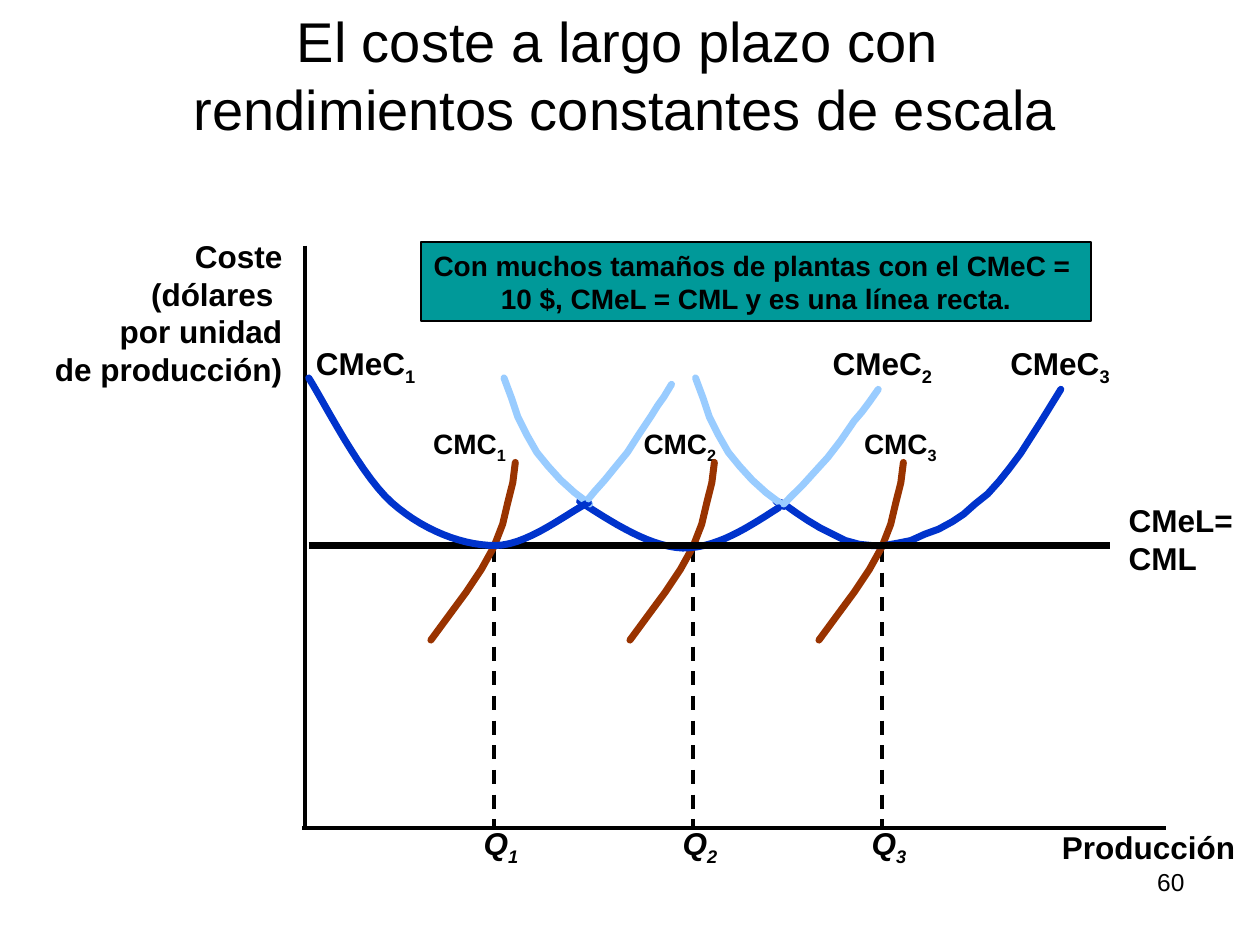
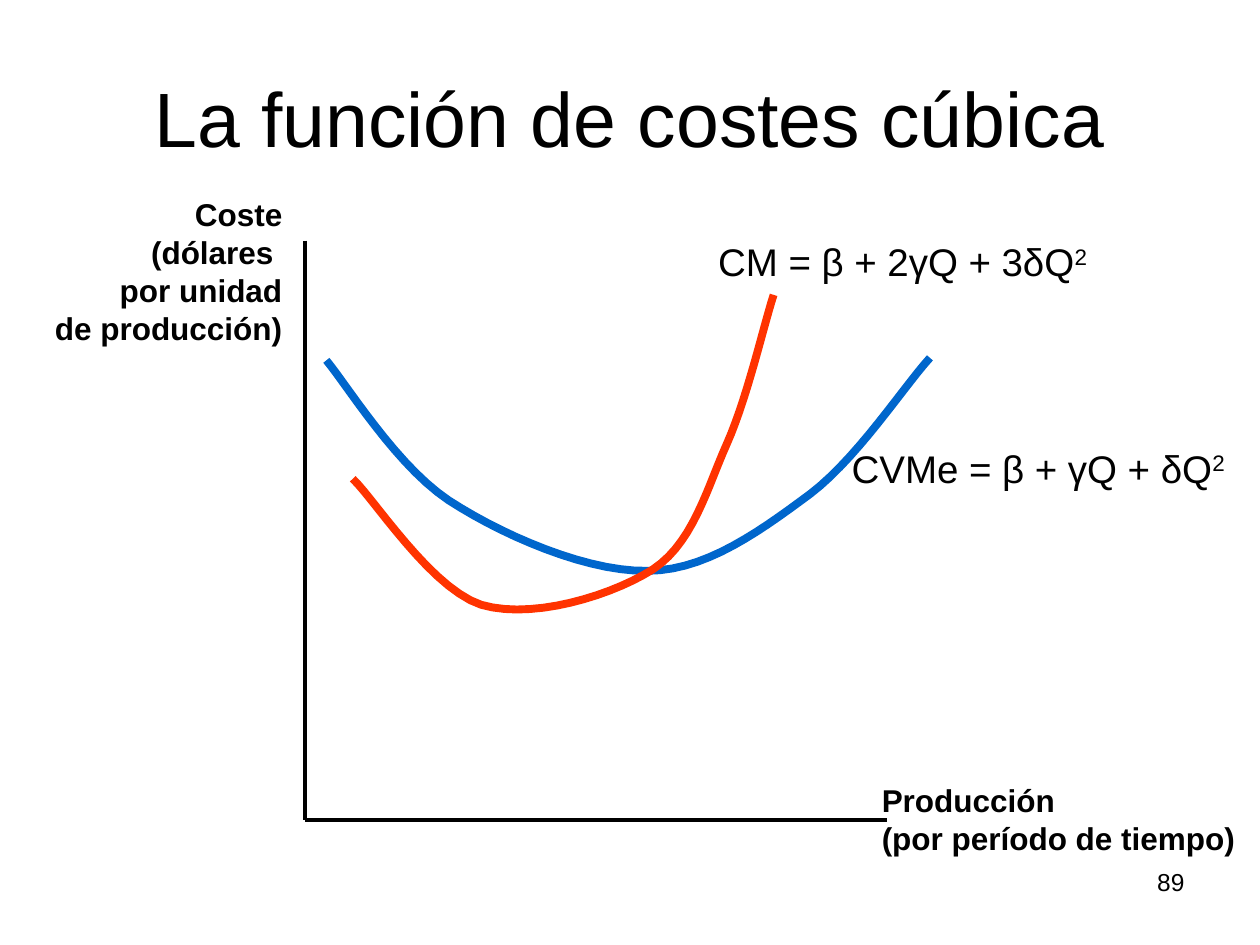
from dataclasses import dataclass

from lxml.etree import SubElement
from pptx import Presentation
from pptx.dml.color import RGBColor
from pptx.enum.dml import MSO_LINE
from pptx.enum.shapes import MSO_CONNECTOR, MSO_SHAPE
from pptx.enum.text import MSO_ANCHOR, MSO_AUTO_SIZE, PP_ALIGN
from pptx.oxml.ns import qn
from pptx.util import Inches, Pt


@dataclass(frozen=True)
class Theme:
    font: str = "Arial"
    black: str = "000000"
    teal: str = "009999"
    average_cost: str = "0033CC"
    unused_average: str = "99CCFF"
    marginal_cost: str = "993300"
    cubic_average: str = "0066CC"
    cubic_marginal: str = "FF3300"
    long_title: int = 32
    title: int = 44
    equation: int = 22
    label: int = 18
    small_label: int = 16
    page_number: int = 14
    axis_width: float = 2
    curve_width: float = 4
    cubic_width: float = 4.5


THEME = Theme()
COST_AXIS = ["Coste", "(dólares ", "por unidad", "de producción)"]
AXIS_X = 2.42

# Slide 1: constant returns to scale
CONSTANT_TITLE = "El coste a largo plazo con \vrendimientos constantes de escala"
BANNER = ["Con muchos tamaños de plantas con el CMeC = ",
          "10 $, CMeL = CML y es una línea recta."]
LONG_RUN_Y = 4.33
QUANTITY_AXIS_Y = 6.57

# x is measured from the plant's optimal quantity
MARGINAL_CURVE = [(-0.5, 5.08), (-0.36, 4.89), (-0.22, 4.7), (-0.1, 4.52), (0, 4.34),
                  (0.07, 4.16), (0.11, 3.99), (0.15, 3.83), (0.17, 3.67)]
# x is measured from the upper end of the curve
FALLING_CURVE = [(0, 3), (0.06, 3.16), (0.11, 3.31), (0.18, 3.45), (0.26, 3.59),
                 (0.35, 3.7), (0.45, 3.81), (0.56, 3.91), (0.68, 4)]

PLANTS = {
    "1": dict(
        quantity=3.92, average_label=2.41, marginal_label=3.34, bezier=True,
        average=[(2.45, 3), (2.56, 3.17), (2.86, 3.77), (3.11, 3.99), (3.36, 4.21),
                 (3.67, 4.33), (3.93, 4.33), (4.19, 4.33), (4.52, 4.06), (4.67, 3.99)],
        falling_from=None,
        rising=[(4.67, 3.96), (4.72, 3.9), (4.8, 3.81), (4.89, 3.7), (4.98, 3.59),
                (5.07, 3.45), (5.17, 3.3), (5.22, 3.22), (5.27, 3.15), (5.33, 3.05)]),
    "2": dict(
        quantity=5.5, average_label=6.51, marginal_label=5.01, bezier=True,
        average=[(4.6, 3.98), (4.88, 4.16), (5.16, 4.34), (5.42, 4.35),
                 (5.69, 4.35), (5.93, 4.19), (6.18, 4.03)],
        falling_from=4,
        rising=[(6.22, 4), (6.28, 3.94), (6.37, 3.85), (6.47, 3.74), (6.57, 3.63),
                (6.67, 3.5), (6.78, 3.34), (6.84, 3.27), (6.9, 3.19), (6.97, 3.09)]),
    "3": dict(
        quantity=7, average_label=7.92, marginal_label=6.76, bezier=False,
        average=[(6.22, 4.02), (6.16, 3.98), (6.2, 3.99), (6.25, 4.02), (6.32, 4.07),
                 (6.41, 4.13), (6.51, 4.19), (6.61, 4.24), (6.71, 4.29), (6.82, 4.32),
                 (6.92, 4.33), (7.02, 4.33), (7.13, 4.31), (7.23, 4.29), (7.34, 4.24),
                 (7.45, 4.2), (7.56, 4.14), (7.65, 4.08), (7.74, 4), (7.84, 3.92),
                 (7.93, 3.82), (8.01, 3.72), (8.1, 3.6), (8.26, 3.35), (8.42, 3.09)],
        falling_from=5.52,
        rising=None),
}

# Slide 2: cubic cost function
CUBIC_TITLE = "La función de costes cúbica"
CUBIC_CURVES = [
    (THEME.cubic_average,
     [(2.59, 2.86), (2.75, 3.05), (3.14, 3.69), (3.56, 3.97), (3.99, 4.25),
      (4.66, 4.54), (5.14, 4.53), (5.61, 4.53), (6.05, 4.2), (6.43, 3.92),
      (6.8, 3.64), (7.18, 3.06), (7.38, 2.84)]),
    (THEME.cubic_marginal,
     [(2.8, 3.8), (2.97, 3.96), (3.42, 4.67), (3.82, 4.8), (4.22, 4.92),
      (4.85, 4.73), (5.18, 4.52), (5.5, 4.31), (5.61, 3.88), (5.77, 3.52),
      (5.93, 3.16), (6.06, 2.59), (6.14, 2.34)]),
]
EQUATIONS = [("CM = β + 2γQ + 3δQ", (5.7, 1.89, 3.2, 0.37)),
             ("CVMe = β + γQ + δQ", (6.76, 3.53, 3.2, 0.37))]


def write_text(shape, lines, size, bold=False, italic=False, align=PP_ALIGN.LEFT,
               anchor=MSO_ANCHOR.TOP, margins=(0.1, 0.05)):
    """Fill a shape; a line is a string or a (text, script, baseline percent) tuple."""
    frame = shape.text_frame
    frame.word_wrap = True
    frame.auto_size = MSO_AUTO_SIZE.NONE
    frame.vertical_anchor = anchor
    frame.margin_left = frame.margin_right = Inches(margins[0])
    frame.margin_top = frame.margin_bottom = Inches(margins[1])
    for index, line in enumerate(lines):
        paragraph = frame.paragraphs[0] if index == 0 else frame.add_paragraph()
        paragraph.alignment = align
        if isinstance(line, str):
            paragraph.text = line
        else:
            paragraph.text, script, baseline = line
            run = paragraph.add_run()
            run.text = script
            run._r.get_or_add_rPr().set("baseline", str(baseline * 1000))
        for run in paragraph.runs:
            run.font.name = THEME.font
            run.font.size = Pt(size)
            run.font.bold = bold
            run.font.italic = italic
            run.font.color.rgb = RGBColor.from_string(THEME.black)


def add_text(slide, box, lines, size, **style):
    shape = slide.shapes.add_textbox(*map(Inches, box))
    write_text(shape, lines, size, **style)


def add_label(slide, box, lines, size=THEME.label, **style):
    add_text(slide, box, lines, size, bold=True, **style)


def set_line(shape, color, width):
    shape.line.color.rgb = RGBColor.from_string(color)
    shape.line.width = Pt(width)


def add_line(slide, start, end, width=THEME.axis_width, dashed=False):
    line = slide.shapes.add_connector(MSO_CONNECTOR.STRAIGHT,
                                      *map(Inches, (*start, *end)))
    set_line(line, THEME.black, width)
    if dashed:
        line.line.dash_style = MSO_LINE.DASH
    SubElement(line._element.spPr, qn("a:effectLst"))


def trace_bezier(points, steps=14):
    """Turn a chain of cubic Bezier segments into closely spaced points."""
    traced = [points[0]]
    for first in range(0, len(points) - 1, 3):
        segment = points[first:first + 4]
        for step in range(1, steps + 1):
            t = step / steps
            weights = ((1 - t) ** 3, 3 * t * (1 - t) ** 2, 3 * t ** 2 * (1 - t), t ** 3)
            traced.append(tuple(sum(weight * point[axis]
                                    for weight, point in zip(weights, segment))
                                for axis in (0, 1)))
    return traced


def add_curve(slide, points, color, width=THEME.curve_width, round_ends=True):
    corners = [(Inches(x), Inches(y)) for x, y in points]
    builder = slide.shapes.build_freeform(*corners[0])
    builder.add_line_segments(corners[1:], close=False)
    curve = builder.convert_to_shape()
    curve.shadow.inherit = False
    curve.fill.background()
    set_line(curve, color, width)
    outline = curve.line._get_or_add_ln()
    SubElement(outline, qn("a:round"))
    if round_ends:
        outline.set("cap", "rnd")


def shift(points, distance):
    return [(x + distance, y) for x, y in points]


def start_slide(presentation, title, title_box, title_size, title_anchor, number, cost_top):
    """Add a slide with its title, page number and cost axis label."""
    slide = presentation.slides.add_slide(presentation.slide_layouts[6])
    add_text(slide, title_box, [title], title_size, align=PP_ALIGN.CENTER,
             anchor=title_anchor)
    add_text(slide, (7.17, 6.83, 2.33, 0.52), [number], THEME.page_number,
             align=PP_ALIGN.RIGHT)
    add_label(slide, (0.04, cost_top, 2.3, 1.3), COST_AXIS, align=PP_ALIGN.RIGHT)
    return slide


def add_plant(slide, number, plant):
    quantity = plant["quantity"]
    add_line(slide, (quantity, 4.35), (quantity, QUANTITY_AXIS_Y), dashed=True)
    add_label(slide, (quantity - 0.18, 6.49, 0.7, 0.44), [("Q", number, -25)],
              italic=True)
    add_label(slide, (plant["average_label"], 2.68, 1.2, 0.44), [("CMeC", number, -25)])
    add_label(slide, (plant["marginal_label"], 3.34, 1, 0.4), [("CMC", number, -25)],
              THEME.small_label)
    add_curve(slide, shift(MARGINAL_CURVE, quantity), THEME.marginal_cost)
    average = trace_bezier(plant["average"]) if plant["bezier"] else plant["average"]
    add_curve(slide, average, THEME.average_cost)
    if plant["rising"]:
        add_curve(slide, plant["rising"], THEME.unused_average)
    if plant["falling_from"]:
        add_curve(slide, shift(FALLING_CURVE, plant["falling_from"]),
                  THEME.unused_average)


def add_banner(slide):
    banner = slide.shapes.add_shape(MSO_SHAPE.RECTANGLE,
                                    *map(Inches, (3.34, 1.92, 5.32, 0.63)))
    banner.shadow.inherit = False
    banner.fill.solid()
    banner.fill.fore_color.rgb = RGBColor.from_string(THEME.teal)
    set_line(banner, THEME.black, 1)
    write_text(banner, BANNER, THEME.small_label, bold=True, align=PP_ALIGN.CENTER)


def build_constant_returns(presentation):
    slide = start_slide(presentation, CONSTANT_TITLE, (0.6, 0.32, 8.73, 0.85),
                        THEME.long_title, MSO_ANCHOR.BOTTOM, "60", cost_top=1.83)
    add_line(slide, (AXIS_X, 1.95), (AXIS_X, 6.58))
    add_line(slide, (2.4, QUANTITY_AXIS_Y), (9.25, QUANTITY_AXIS_Y))
    add_label(slide, (8.33, 6.52, 1.67, 0.4), ["Producción"])
    add_plant(slide, "3", PLANTS["3"])
    add_plant(slide, "2", PLANTS["2"])
    add_line(slide, (2.45, LONG_RUN_Y), (8.81, LONG_RUN_Y), THEME.curve_width)
    add_label(slide, (8.86, 3.93, 1.14, 0.7), ["CMeL=", "CML"])
    add_banner(slide)
    add_plant(slide, "1", PLANTS["1"])


def build_cubic_function(presentation):
    slide = start_slide(presentation, CUBIC_TITLE, (0.5, 0.3, 9, 1.25),
                        THEME.title, MSO_ANCHOR.MIDDLE, "89", cost_top=1.5)
    origin = (AXIS_X, 6.51)
    add_line(slide, (AXIS_X, 1.91), origin)
    add_line(slide, origin, (7.04, 6.51))
    add_label(slide, (6.9, 6.15, 3.1, 0.7), ["Producción", "(por período de tiempo)"])
    for color, points in CUBIC_CURVES:
        add_curve(slide, trace_bezier(points), color, THEME.cubic_width, round_ends=False)
    for equation, box in EQUATIONS:
        add_text(slide, box, [(equation, "2", 30)], THEME.equation, margins=(0, 0))


def main():
    presentation = Presentation()
    presentation.slide_width = Inches(10)
    presentation.slide_height = Inches(7.5)
    build_constant_returns(presentation)
    build_cubic_function(presentation)
    presentation.save("out.pptx")


if __name__ == "__main__":
    main()
